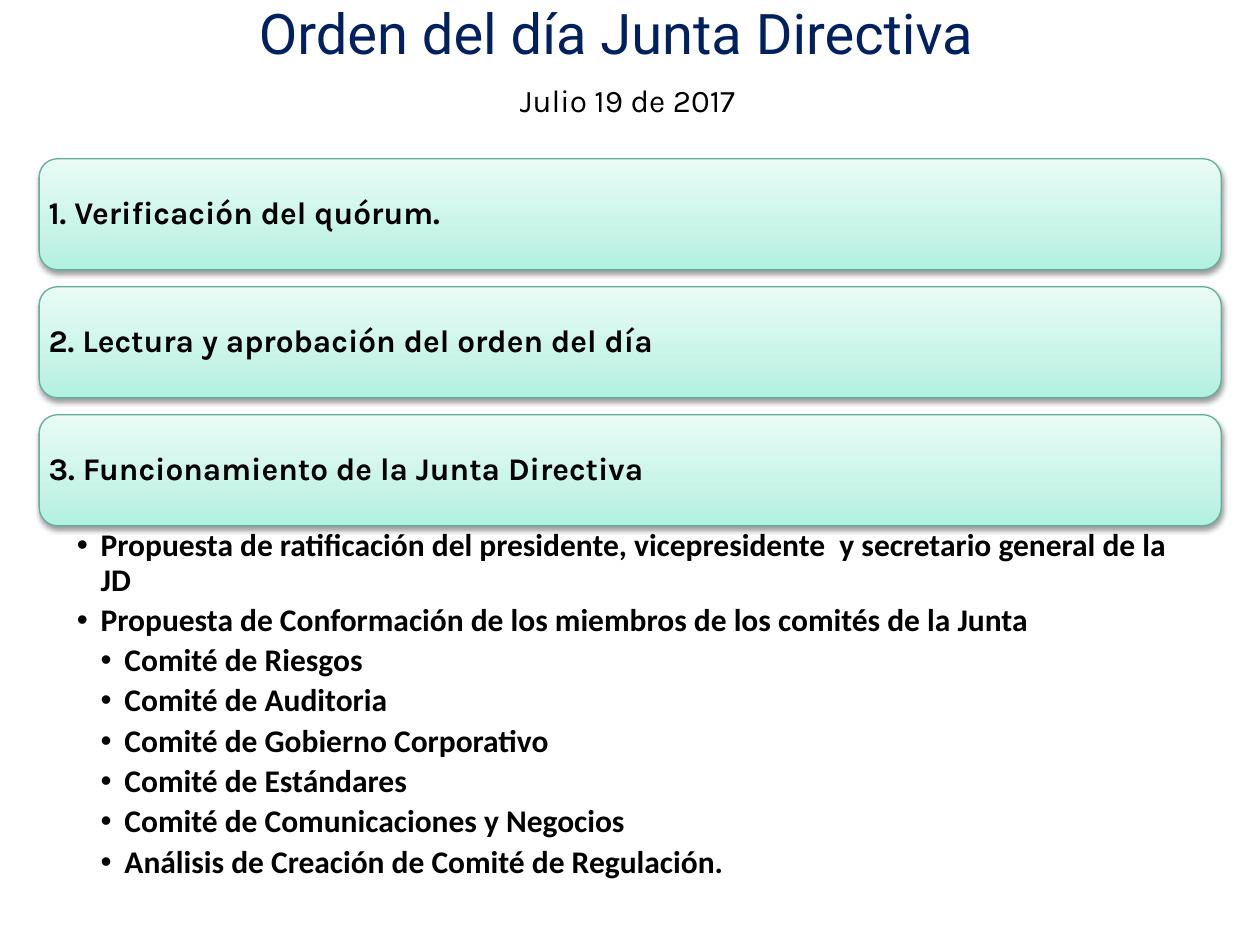
"""Build the agenda slide of a board meeting."""
from lxml import etree
from pptx import Presentation, util as u
from pptx.dml.color import RGBColor
from pptx.enum import shapes, text
from pptx.oxml import parse_xml
from pptx.oxml.ns import nsdecls, qn

COLORS = {"title": "002060", "body": "000000", "border": "62AD9B", "shadow": "000000"}
GRADIENT = {0: "B1F1DF", 35: "C8F4E8", 100: "E9FCF6"}
LEFT, WIDTH = 0.79, 23.83
CARD_TOP, CARD_HEIGHT, CARD_STEP = 3.2, 2.24, 2.58
INDENT = 0.48
AGENDA = [
    "1. Verificación del quórum.",
    "2. Lectura y aprobación del orden del día",
    "3. Funcionamiento de la Junta Directiva",
]
PROPOSALS = [
    (1, "Propuesta de ratificación del presidente, vicepresidente  y secretario general de la JD"),
    (1, "Propuesta de Conformación de los miembros de los comités de la Junta"),
    (2, "Comité de Riesgos"),
    (2, "Comité de Auditoria"),
    (2, "Comité de Gobierno Corporativo"),
    (2, "Comité de Estándares"),
    (2, "Comité de Comunicaciones y Negocios"),
    (2, "Análisis de Creación de Comité de Regulación."),
]


def set_frame(frame, insets):
    """Turn on wrapping and set left, top, right and bottom insets in cm."""
    frame.word_wrap = True
    frame.margin_left, frame.margin_top, frame.margin_right, frame.margin_bottom = map(u.Cm, insets)


def style_paragraph(para, font, size, color, bold=False, spacing=0.9, after=0,
                    align=text.PP_ALIGN.LEFT):
    """Set spacing and alignment of a paragraph and the font of its runs."""
    para.alignment = align
    para.line_spacing = spacing
    para.space_before, para.space_after = u.Pt(0), u.Pt(after)
    for span in para.runs:
        span.font.name, span.font.size, span.font.bold = font, u.Pt(size), bold
        span.font.color.rgb = RGBColor.from_string(COLORS[color])


def add_heading(page, wording, bounds, font, size, color, spacing):
    """Add a centred line of text without insets."""
    box = page.shapes.add_textbox(*map(u.Cm, bounds))
    set_frame(box.text_frame, (0, 0, 0, 0))
    para = box.text_frame.paragraphs[0]
    para.text = wording
    style_paragraph(para, font, size, color, spacing=spacing, align=text.PP_ALIGN.CENTER)


def fill_gradient(shape):
    """Fill a shape with the card gradient, running from bottom to top."""
    shape.fill.gradient()
    shape.fill.gradient_angle = 90
    stops = shape._element.spPr.find(qn("a:gradFill")).find(qn("a:gsLst"))
    for stop in list(stops):
        stops.remove(stop)
    for position, color in GRADIENT.items():
        stop = etree.SubElement(stops, qn("a:gs"), pos=str(position * 1000))
        etree.SubElement(stop, qn("a:srgbClr"), val=color)


def add_shadow(shape):
    """Give a shape a soft shadow that falls straight down."""
    shape.shadow.inherit = False
    shape._element.spPr.find(qn("a:effectLst")).append(parse_xml(
        f'<a:outerShdw {nsdecls("a")} blurRad="{u.Pt(3.1)}" dist="{u.Pt(1.6)}" '
        f'dir="5400000" rotWithShape="0"><a:srgbClr val="{COLORS["shadow"]}">'
        '<a:alpha val="38000"/></a:srgbClr></a:outerShdw>'))


def add_card(page, wording, top):
    """Add a rounded agenda card with its text."""
    card = page.shapes.add_shape(shapes.MSO_SHAPE.ROUNDED_RECTANGLE,
                                 *map(u.Cm, (LEFT, top, WIDTH, CARD_HEIGHT)))
    fill_gradient(card)
    card.line.color.rgb = RGBColor.from_string(COLORS["border"])
    card.line.width = u.Pt(0.75)
    add_shadow(card)
    set_frame(card.text_frame, (0.08, 0.08, 0.08, 0.08))
    card.text_frame.vertical_anchor = text.MSO_ANCHOR.MIDDLE
    para = card.text_frame.paragraphs[0]
    para.text = wording
    style_paragraph(para, "Karla", 18, "body", bold=True, after=6.3)


def add_bullet(para, level):
    """Give a paragraph a round bullet and a hanging indent for its level."""
    para.level = level
    props = para._p.get_or_add_pPr()
    props.set("marL", str(u.Cm(INDENT * level)))
    props.set("indent", str(u.Cm(-INDENT)))
    etree.SubElement(props, qn("a:buFont"), typeface="Arial")
    etree.SubElement(props, qn("a:buChar"), char="•")


def add_proposals(page, top):
    """Add the bulleted list of proposals."""
    box = page.shapes.add_textbox(*map(u.Cm, (LEFT, top, WIDTH, 7.54)))
    frame = box.text_frame
    set_frame(frame, (0.76, 0.08, 0.36, 0.08))
    frame.text = "\n".join(wording for _, wording in PROPOSALS)
    for para, (level, _) in zip(frame.paragraphs, PROPOSALS):
        add_bullet(para, level)
        style_paragraph(para, "Calibri", 18, "body", bold=True, after=3.6)


def main():
    """Build and save the deck."""
    deck = Presentation()
    deck.slide_width, deck.slide_height = u.Cm(25.4), u.Cm(19.05)
    page = deck.slides.add_slide(deck.slide_layouts[6])
    add_heading(page, "Julio 19 de 2017", (6.58, 1.8, 12.14, 0.81),
                "Karla", 18, "body", u.Pt(17))
    add_heading(page, "Orden del día Junta Directiva", (2.24, 0.18, 20.37, 3.1),
                "Roboto", 32, "title", 0.85)
    for index, wording in enumerate(AGENDA):
        add_card(page, wording, CARD_TOP + index * CARD_STEP)
    add_proposals(page, CARD_TOP + (len(AGENDA) - 1) * CARD_STEP + CARD_HEIGHT)
    deck.save("out.pptx")


if __name__ == "__main__":
    main()
